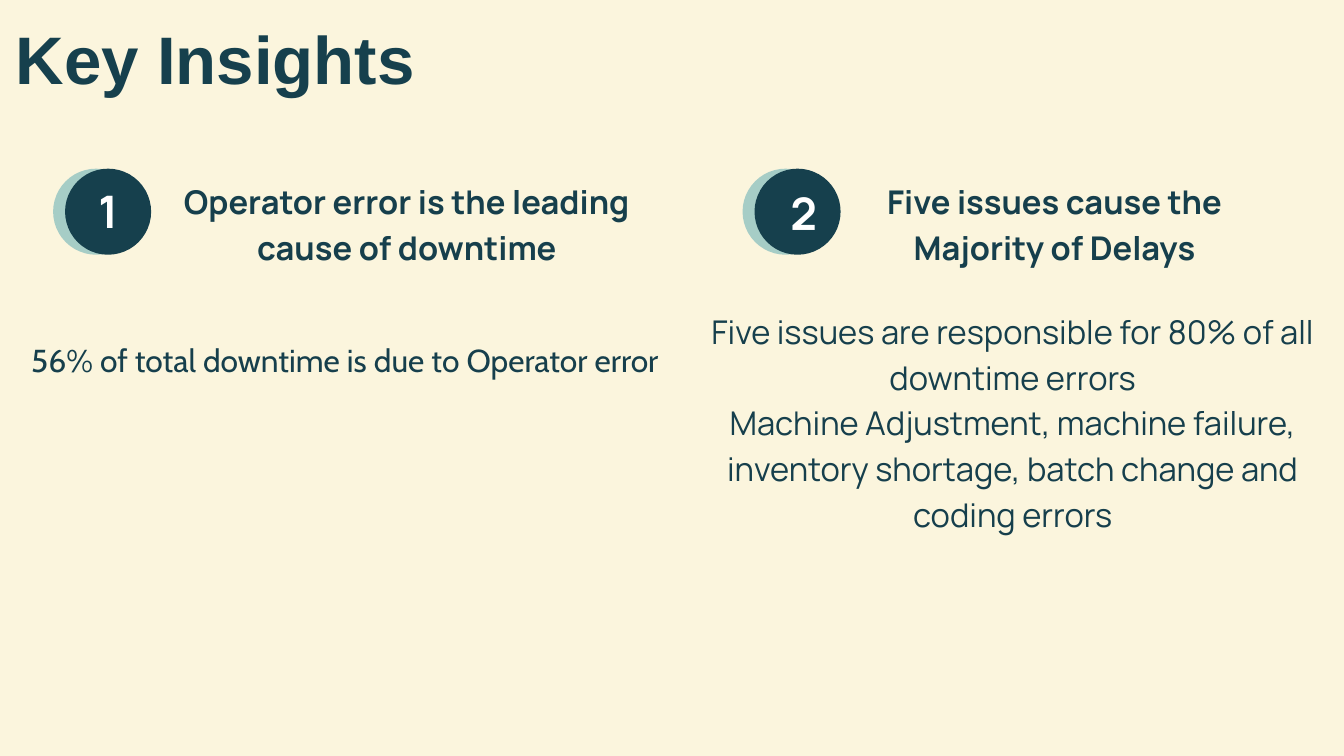
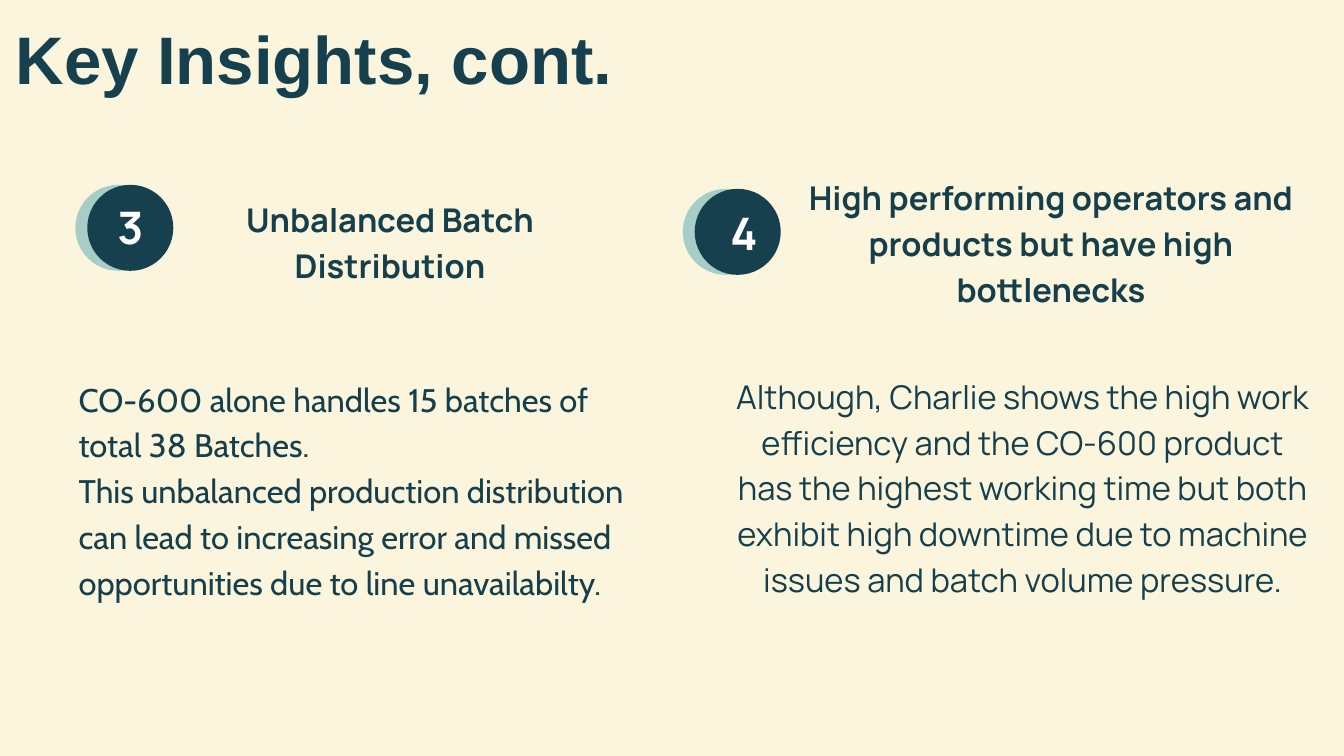
"""Build the two Key Insights slides."""
from dataclasses import dataclass

from pptx import Presentation
from pptx.dml.color import RGBColor
from pptx.enum.shapes import MSO_SHAPE
from pptx.enum.text import MSO_ANCHOR, MSO_AUTO_SIZE, PP_ALIGN
from pptx.util import Pt


@dataclass(frozen=True)
class Theme:
    cream: str = "FBF5DD"
    mint: str = "A6CDC6"
    navy: str = "16404D"
    ink: str = "163F4C"
    white: str = "FFFFFF"
    title_font: str = "Arial"
    main_font: str = "Manrope"
    alternate_font: str = "Cabin"
    title_size: int = 72
    number_size: int = 48
    text_size: int = 35
    title_leading: float = 1.2
    text_leading: float = 1.4


class InsightDeck:
    def __init__(self, theme):
        self.theme = theme
        self.presentation = Presentation()
        self.presentation.slide_width = Pt(1440)
        self.presentation.slide_height = Pt(810)
        self.slide = None

    def add_slide(self, title):
        theme = self.theme
        self.slide = self.presentation.slides.add_slide(self.presentation.slide_layouts[5])
        self.paint(self.slide.background.fill, theme.cream)
        heading = self.slide.shapes.title
        heading.left, heading.top, heading.width, heading.height = map(Pt, (16.6, 18.7, 859, 102.2))
        self.set_lines(heading.text_frame, [title], theme.title_font, theme.title_size, theme.navy,
                       bold=True, align=PP_ALIGN.LEFT, leading=theme.title_leading)

    def paint(self, fill, colour):
        fill.solid()
        fill.fore_color.rgb = RGBColor.from_string(colour)

    def set_lines(self, frame, lines, font, size, colour, bold, align, leading):
        frame.margin_left = frame.margin_top = frame.margin_right = frame.margin_bottom = 0
        frame.word_wrap = True
        frame.auto_size = MSO_AUTO_SIZE.NONE
        frame.vertical_anchor = MSO_ANCHOR.TOP
        frame.text = "\n".join(lines)
        for paragraph in frame.paragraphs:
            paragraph.alignment = align
            paragraph.line_spacing = Pt(round(size * leading, 1))
            for run in paragraph.runs:
                run.font.name = font
                run.font.size = Pt(size)
                run.font.bold = bold
                run.font.color.rgb = RGBColor.from_string(colour)

    def text(self, box, lines, font=None, size=None, colour=None, bold=False, align=PP_ALIGN.CENTER):
        theme = self.theme
        frame = self.slide.shapes.add_textbox(*map(Pt, box)).text_frame
        self.set_lines(frame, lines, font or theme.main_font, size or theme.text_size,
                       colour or theme.ink, bold, align, theme.text_leading)

    def disc(self, left, top, colour):
        circle = self.slide.shapes.add_shape(MSO_SHAPE.OVAL, Pt(left), Pt(top), Pt(92.2), Pt(92.2))
        circle.shadow.inherit = False
        self.paint(circle.fill, colour)
        circle.line.fill.background()

    def badge(self, number, left, top, digit_offset):
        theme = self.theme
        self.disc(left, top, theme.mint)
        self.disc(left + 12.8, top, theme.navy)
        across, down = digit_offset
        self.text((left + across, top + down, 41.8, 66), [number],
                  size=theme.number_size, colour=theme.white, bold=True)

    def insight(self, number, badge_at, digit_offset, heading_box, heading, body_box, body, **body_style):
        self.badge(number, *badge_at, digit_offset)
        self.text(heading_box, [heading], bold=True)
        self.text(body_box, body, **body_style)


def main():
    theme = Theme()
    deck = InsightDeck(theme)
    left_digit, right_digit = (38.2, 6.5), (44.6, 9)

    deck.add_slide("Key Insights")
    deck.insight("1", (56.9, 180.7), left_digit,
                 (151.9, 187.9, 568, 98.6), "Operator error is the leading cause of downtime",
                 (12.8, 357.8, 713.5, 92.9), ["56% of total downtime is due to Operator error"],
                 font=theme.alternate_font, size=34)
    deck.insight("2", (795.6, 180.7), right_digit,
                 (900.7, 187.9, 458.6, 98.6), "Five issues cause the Majority of Delays",
                 (761.8, 326.9, 646.6, 244.8),
                 ["Five issues are responsible for 80% of all downtime errors",
                  "Machine Adjustment, machine failure, inventory shortage, batch change and coding errors"])

    deck.add_slide("Key Insights, cont.")
    deck.insight("3", (80.7, 198), left_digit,
                 (173.5, 207.4, 488.9, 98.6), "Unbalanced Batch Distribution",
                 (84.2, 399.6, 607, 290.9),
                 ["CO-600 alone handles 15 batches of total 38 Batches.",
                  "This unbalanced production distribution can lead to increasing error and missed "
                  "opportunities due to line unavailabilty."],
                 font=theme.alternate_font, align=PP_ALIGN.LEFT)
    deck.insight("4", (731.5, 202.3), right_digit,
                 (864.7, 183.6, 522.7, 147.6),
                 "High performing operators and products but have high bottlenecks",
                 (784.1, 396.7, 623.5, 293.8),
                 ["Although, Charlie shows the high work efficiency and the CO-600 product has the "
                  "highest working time but both exhibit high downtime due to machine issues and "
                  "batch volume pressure."])

    deck.presentation.save("out.pptx")


if __name__ == "__main__":
    main()
